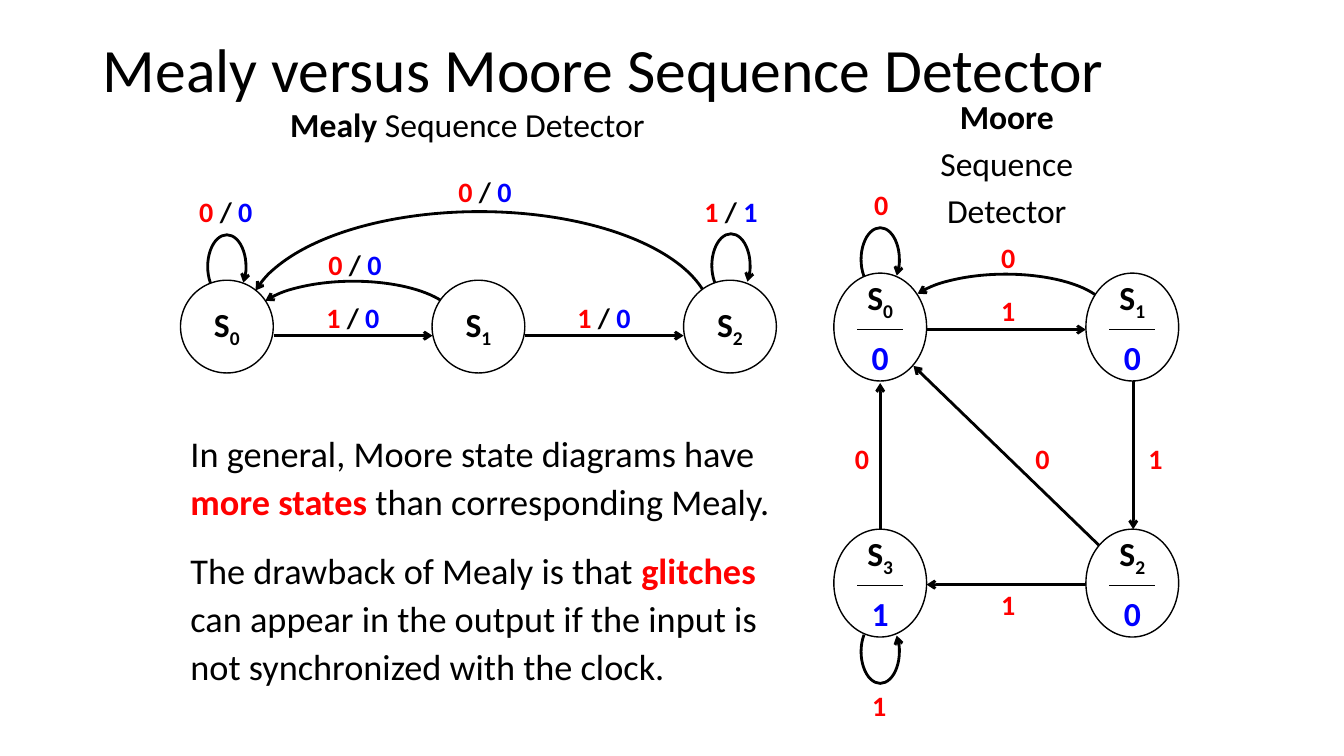
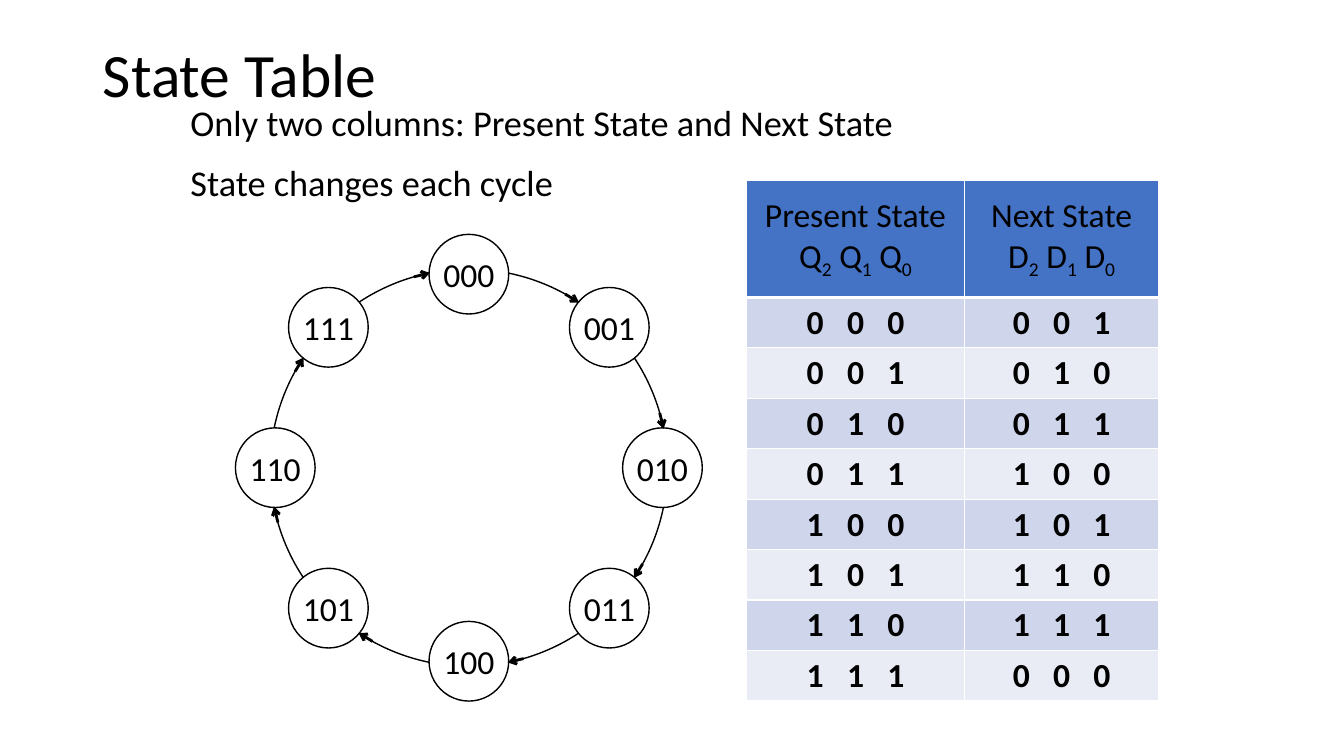
from dataclasses import dataclass
from math import cos, radians, sin
from typing import NamedTuple, Optional

from lxml import etree
from pptx import Presentation
from pptx.dml.color import RGBColor
from pptx.enum.shapes import MSO_CONNECTOR, MSO_SHAPE
from pptx.enum.text import MSO_ANCHOR, PP_ALIGN
from pptx.oxml.ns import qn
from pptx.util import Inches, Pt

LEFT, CENTER = PP_ALIGN.LEFT, PP_ALIGN.CENTER
TOP, MIDDLE = MSO_ANCHOR.TOP, MSO_ANCHOR.MIDDLE
ARC, OVAL = MSO_SHAPE.ARC, MSO_SHAPE.OVAL
STRAIGHT = MSO_CONNECTOR.STRAIGHT
TITLE_ONLY = 5


@dataclass(frozen=True)
class Theme:
    font: str = "Calibri"
    ink: RGBColor = RGBColor(0, 0, 0)
    paper: RGBColor = RGBColor(255, 255, 255)
    red: RGBColor = RGBColor(255, 0, 0)
    blue: RGBColor = RGBColor(0, 0, 255)
    header: RGBColor = RGBColor(0x44, 0x72, 0xC4)
    bands: tuple = (RGBColor(0xCF, 0xD5, 0xEA), RGBColor(0xE9, 0xEB, 0xF5))
    title: float = 44
    body: float = 25.9
    state: float = 24
    label: float = 20
    thin: float = 1
    thick: float = 2


THEME = Theme()


class Span(NamedTuple):
    text: str
    color: RGBColor = THEME.ink
    bold: bool = False
    subscript: bool = False


@dataclass(frozen=True)
class Para:
    spans: tuple
    size: float = THEME.state
    align: int = LEFT
    line: float = 1.0
    before: float = 0
    after: float = 0
    tabs: tuple = ()


class Box(NamedTuple):
    left: float
    top: float
    width: float
    height: float


class Arc(NamedTuple):
    box: Box
    start: float
    end: float
    arrow: str
    flipped: bool = False


class Arrow(NamedTuple):
    x1: float
    y1: float
    x2: float
    y2: float


class State(NamedTuple):
    number: str
    box: Box
    output: Optional[str] = None


class Label(NamedTuple):
    x: float
    y: float
    condition: str
    output: Optional[str] = None


# Text
def write(frame, paras: list, anchor=TOP, insets=(0.1, 0.05), wrap: bool = True) -> None:
    frame.word_wrap = wrap
    frame.vertical_anchor = anchor
    frame.margin_left = frame.margin_right = Inches(insets[0])
    frame.margin_top = frame.margin_bottom = Inches(insets[1])
    fill_paragraphs(frame, paras)


def fill_paragraphs(frame, paras: list) -> None:
    for index, para in enumerate(paras):
        target = frame.add_paragraph() if index else frame.paragraphs[0]
        target.alignment = para.align
        target.line_spacing = para.line
        target.space_before = Pt(para.before if index else 0)
        target.space_after = Pt(para.after)
        if para.tabs:
            stops = etree.SubElement(target._p.get_or_add_pPr(), qn("a:tabLst"))
            for stop in para.tabs:
                etree.SubElement(stops, qn("a:tab"), pos=str(Inches(stop)), algn="ctr")
        target.font.name = THEME.font
        target.font.size = Pt(para.size)
        for span in para.spans:
            run = target.add_run()
            run.text = span.text
            run.font.bold = span.bold
            run.font.color.rgb = span.color
            if span.subscript:
                run._r.get_or_add_rPr().set("baseline", "-25000")


def add_text(slide, box: Box, paras: list, **options) -> None:
    write(slide.shapes.add_textbox(*map(Inches, box)).text_frame, paras, **options)


def add_titled_slide(prs, title: str, top: float):
    slide = prs.slides.add_slide(prs.slide_layouts[TITLE_ONLY])
    heading = slide.shapes.title
    heading.left, heading.top = Inches(0.92), Inches(top)
    heading.width, heading.height = Inches(11.5), Inches(1.45)
    write(heading.text_frame, [Para((Span(title),), THEME.title, line=0.9)], anchor=MIDDLE)
    return slide


def indexed(letter: str, number: str, bold: bool = False) -> tuple:
    return Span(letter, bold=bold), Span(number, bold=bold, subscript=True)


# Lines and shapes
def stroke(shape, width: float, arrow: str = "") -> None:
    shape.line.color.rgb = THEME.ink
    shape.line.width = Pt(width)
    if arrow:
        line = shape._element.spPr.find(qn("a:ln"))
        etree.SubElement(line, qn(f"a:{arrow}End"), type="arrow")


def add_line(slide, ends: Arrow, width: float = THEME.thick, arrow: str = "tail") -> None:
    line = slide.shapes.add_connector(STRAIGHT, *map(Inches, ends))
    stroke(line, width, arrow)
    etree.SubElement(line._element.spPr, qn("a:effectLst"))


def add_arc(slide, arc: Arc) -> None:
    curve = slide.shapes.add_shape(ARC, *map(Inches, arc.box))
    curve.shadow.inherit = False
    curve.fill.background()
    # Adjustments count in 100000ths, angles in 60000ths of a degree
    curve.adjustments[0] = arc.start * 0.6
    curve.adjustments[1] = arc.end * 0.6
    if arc.flipped:
        curve._element.spPr.find(qn("a:xfrm")).set("flipV", "1")
    stroke(curve, THEME.thick, arc.arrow)


def add_oval(slide, box: Box, filled: bool = True):
    oval = slide.shapes.add_shape(OVAL, *map(Inches, box))
    oval.shadow.inherit = False
    if filled:
        oval.fill.solid()
        oval.fill.fore_color.rgb = THEME.paper
    else:
        oval.fill.background()
    stroke(oval, THEME.thin)
    return oval


# State diagrams
def add_state(slide, state: State) -> None:
    paras = [Para(indexed("S", state.number, True), align=CENTER, after=10)]
    if state.output:
        paras.append(Para((Span(state.output, THEME.blue, True),), align=CENTER))
    write(add_oval(slide, state.box).text_frame, paras, anchor=MIDDLE, insets=(0, 0))
    if state.output:
        left, y = state.box.left + 0.23, state.box.top + 0.56
        add_line(slide, Arrow(left, y, left + 0.46, y), THEME.thin, arrow="")


def add_label(slide, label: Label) -> None:
    if label.output:
        spans = (Span(f"{label.condition} ", THEME.red, True), Span("/ ", bold=True),
                 Span(label.output, THEME.blue, True))
    else:
        spans = (Span(label.condition, THEME.red, True),)
    add_text(slide, Box(label.x - 0.3, label.y - 0.2, 0.6, 0.4),
             [Para(spans, THEME.label, CENTER)], anchor=MIDDLE, insets=(0, 0), wrap=False)


def add_diagram(slide, arcs: list, arrows: list, states: list, labels: list) -> None:
    for draw, parts in ((add_arc, arcs), (add_line, arrows),
                        (add_state, states), (add_label, labels)):
        for part in parts:
            draw(slide, part)


def loop(left: float, top: float, flipped: bool = False) -> Arc:
    return Arc(Box(left, top, 0.38, 0.63), 133.8, 44.3, "tail", flipped)


def back_arc(left: float, top: float) -> Arc:
    return Arc(Box(left, top, 2.03, 0.79), 193, 348.8, "head")


def build_comparison(prs) -> None:
    slide = add_titled_slide(prs, "Mealy versus Moore Sequence Detector", -0.01)
    notes = [
        (Span("In general, Moore state diagrams have "), Span("more states", THEME.red, True),
         Span(" than corresponding Mealy.")),
        (Span("The drawback of Mealy is that "), Span("glitches", THEME.red, True),
         Span(" can appear in the output if the input is not synchronized with the clock.")),
    ]
    add_text(slide, Box(1.79, 4.19, 6.15, 2.76),
             [Para(spans, THEME.body, line=1.1, before=15) for spans in notes])

    # Mealy detector
    add_diagram(
        slide,
        [back_arc(2.49, 2.79), Arc(Box(2.45, 2.1, 4.61, 2.14), 187.4, 352.6, "head"),
         loop(2.06, 2.33), loop(7.06, 2.32)],
        [Arrow(x, 3.33, x + 1.57, 3.33) for x in (2.72, 5.21)],
        [State(str(i), Box(1.79 + 2.495 * i, 2.78, 0.92, 0.92)) for i in range(3)],
        [Label(3.52, 2.62, "0", "0"), Label(4.81, 1.9, "0", "0"), Label(2.24, 2.1, "0", "0"),
         Label(3.5, 3.15, "1", "0"), Label(5.99, 3.15, "1", "0"), Label(7.25, 2.1, "1", "1")])

    # Moore detector
    corners = [("0", 8.27, 2.71, "0"), ("1", 10.77, 2.71, "0"),
               ("2", 10.77, 5.25, "0"), ("3", 8.27, 5.25, "1")]
    add_diagram(
        slide,
        [back_arc(8.96, 2.72), loop(8.54, 2.26), loop(8.54, 6.15, flipped=True)],
        [Arrow(8.73, 5.65, 8.73, 3.8), Arrow(10.9, 5.41, 9.06, 3.63),
         Arrow(11.19, 5.8, 9.19, 5.8), Arrow(11.24, 3.41, 11.24, 5.25),
         Arrow(8.77, 3.27, 10.77, 3.27)],
        [State(number, Box(x, y, 0.92, 1.07), output) for number, x, y, output in corners],
        [Label(10, 2.55, "0"), Label(8.55, 4.55, "0"), Label(10.34, 4.55, "0"),
         Label(10, 3.08, "1"), Label(11.46, 4.55, "1"), Label(10, 6, "1"),
         Label(8.74, 2.03, "0"), Label(8.72, 7, "1")])

    # Captions
    add_text(slide, Box(2.78, 0.9, 4.09, 0.51),
             [Para((Span("Mealy", bold=True), Span(" Sequence Detector")), line=1.2)])
    add_text(slide, Box(8.88, 0.9, 2.21, 1.49),
             [Para((Span(word, bold=word == "Moore"),), align=CENTER, after=5)
              for word in ("Moore", "Sequence", "Detector")])


# State cycle and table
def ring_point(degrees: float, radius: float) -> tuple:
    """Point on the cycle, clockwise from the top."""
    angle = radians(degrees)
    return 4.65 + radius * sin(angle), 4.64 - radius * cos(angle)


def add_cycle(slide, codes: list) -> None:
    ring, node = 1.97, 0.79
    left, top = 4.65 - ring, 4.64 - ring
    add_oval(slide, Box(left, top, 2 * ring, 2 * ring), filled=False)
    step = 360 / len(codes)
    for i, code in enumerate(codes):
        x, y = ring_point(i * step, ring if i % 2 else 1.92)
        oval = add_oval(slide, Box(x - node / 2, y - node / 2, node, node))
        write(oval.text_frame, [Para((Span(code),), align=CENTER)],
              anchor=MIDDLE, insets=(0, 0.05))
        add_line(slide, Arrow(*ring_point(i * step - 16, ring),
                              *ring_point(i * step - 11.3, ring)))


def style_cell(cell, paras: list, fill: RGBColor, bottom: float = 1) -> None:
    cell.margin_left = cell.margin_right = 0
    cell.margin_top = cell.margin_bottom = Inches(0.05)
    cell.vertical_anchor = MIDDLE
    for side, width in (("L", 1), ("R", 1), ("T", 1), ("B", bottom)):
        border = etree.SubElement(cell._tc.get_or_add_tcPr(), qn(f"a:ln{side}"), w=str(Pt(width)))
        color = etree.SubElement(border, qn("a:solidFill"))
        etree.SubElement(color, qn("a:srgbClr"), val=str(THEME.paper))
    cell.fill.solid()
    cell.fill.fore_color.rgb = fill
    fill_paragraphs(cell.text_frame, paras)


def add_state_table(slide, codes: list) -> None:
    widths, header_height, row_height, digit_gap = (2.17, 1.92), 1.16, 0.5, 0.4
    area = Box(7.4, 1.79, sum(widths), header_height + row_height * len(codes))
    table = slide.shapes.add_table(len(codes) + 1, len(widths), *map(Inches, area)).table
    table.rows[0].height = Inches(header_height)
    for row in range(1, len(codes) + 1):
        table.rows[row].height = Inches(row_height)
    next_codes = codes[1:] + codes[:1]
    columns = (("Present State", "Q", codes), ("Next State", "D", next_codes))
    for col, (heading, letter, values) in enumerate(columns):
        table.columns[col].width = Inches(widths[col])
        bits = (*indexed(letter, "2"), *indexed(f" {letter}", "1"), *indexed(f" {letter}", "0"))
        style_cell(table.cell(0, col), [Para((Span(heading),), align=CENTER),
                                        Para(bits, align=CENTER)], THEME.header, bottom=3)
        middle = widths[col] / 2
        tabs = (middle - digit_gap, middle, middle + digit_gap)
        for row, code in enumerate(values):
            digits = Span("".join(f"\t{digit}" for digit in code), bold=True)
            style_cell(table.cell(row + 1, col), [Para((digits,), tabs=tabs)],
                       THEME.bands[row % 2])


def build_state_table(prs) -> None:
    slide = add_titled_slide(prs, "State Table", 0.04)
    points = ("Only two columns: Present State and Next State", "State changes each cycle")
    add_text(slide, Box(1.79, 0.99, 7.58, 1.23),
             [Para((Span(point),), THEME.body, line=0.9, before=15) for point in points])
    codes = [f"{value:03b}" for value in range(8)]
    add_cycle(slide, codes)
    add_state_table(slide, codes)


def main() -> None:
    prs = Presentation()
    prs.slide_width, prs.slide_height = Inches(13.33), Inches(7.5)
    build_comparison(prs)
    build_state_table(prs)
    prs.save("out.pptx")


if __name__ == "__main__":
    main()
